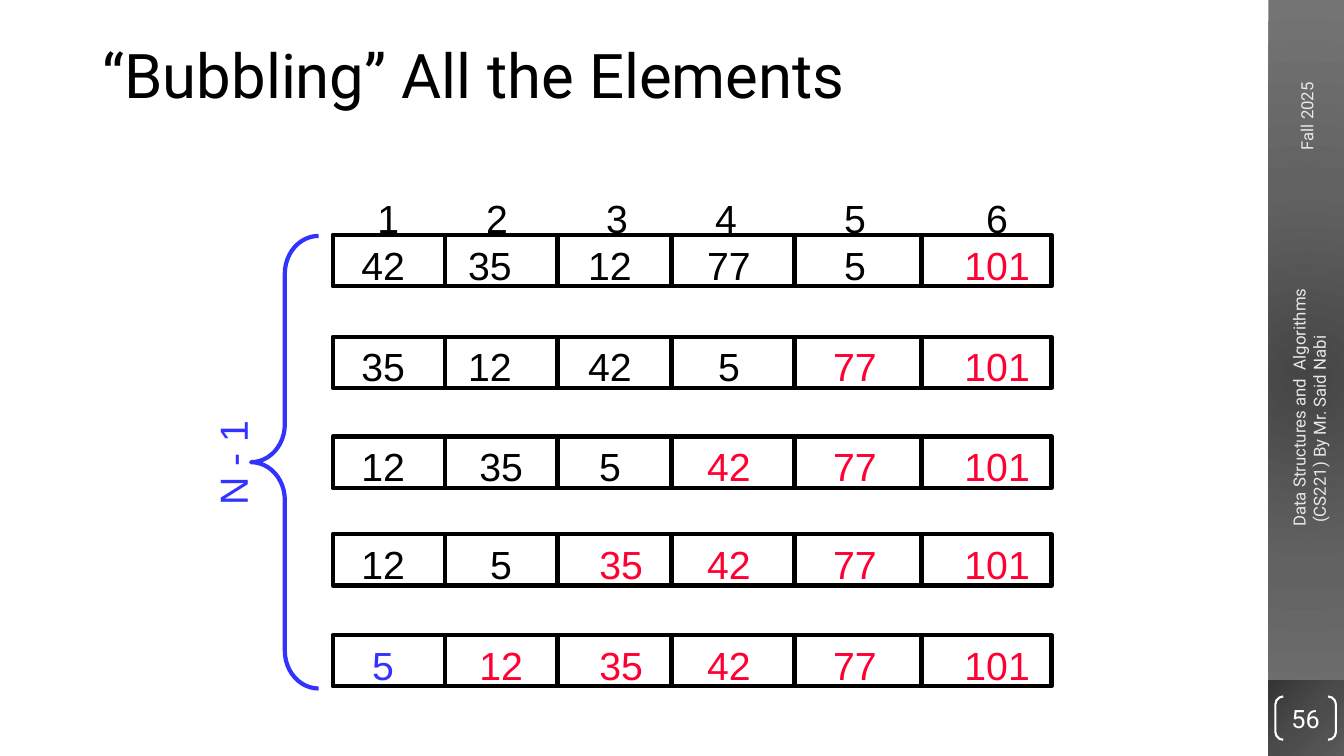
from pptx import Presentation
from pptx.dml.color import RGBColor
from pptx.enum.shapes import MSO_CONNECTOR, MSO_SHAPE
from pptx.enum.text import MSO_ANCHOR, PP_ALIGN
from pptx.oxml import parse_xml
from pptx.oxml.ns import nsdecls
from pptx.oxml.xmlchemy import OxmlElement
from pptx.util import Emu, Pt

RECTANGLE = MSO_SHAPE.RECTANGLE
BRACKETS = MSO_SHAPE.DOUBLE_BRACKET
BRACE = MSO_SHAPE.LEFT_BRACE
STRAIGHT = MSO_CONNECTOR.STRAIGHT
TOP, MIDDLE = MSO_ANCHOR.TOP, MSO_ANCHOR.MIDDLE
LEFT, CENTER = PP_ALIGN.LEFT, PP_ALIGN.CENTER

EMU_PER_PX = 9144
BLACK, WHITE, RED, BLUE, PALE = "000000", "FFFFFF", "FF0033", "3333FF", "E8E8E8"

PASSES = [
    [42, 35, 12, 77, 5, 101],
    [35, 12, 42, 5, 77, 101],
    [12, 35, 5, 42, 77, 101],
    [12, 5, 35, 42, 77, 101],
    [5, 12, 35, 42, 77, 101],
]
PASS_TOPS = [233, 334, 433, 530, 630]
ROW_LEFT, ROW_WIDTH, ROW_HEIGHT = 330, 713, 51
DIVIDERS = [441, 553, 666, 788, 914]
INDEX_CENTERS = [385, 493, 612, 720, 848, 989]
VALUE_CENTERS = [380, 486, 605, 723, 848, 989]
SHIFTED_FROM_PASS = {1: 2, 2: 3}
SHIFT = 11
NUMBER_WIDTH, NUMBER_HEIGHT = 96, 57


def px(value):
    return Emu(value * EMU_PER_PX)


def rgb(color):
    return RGBColor.from_string(color)


def write_text(frame, text, size=28, font="Arial", color=BLACK, align=LEFT,
               anchor=TOP, insets=(10, 5), spacing=None):
    frame.word_wrap = True
    frame.vertical_anchor = anchor
    frame.margin_left = frame.margin_right = px(insets[0])
    frame.margin_top = frame.margin_bottom = px(insets[1])
    frame.text = text
    for para in frame.paragraphs:
        para.alignment = align
        para.line_spacing = spacing
        for span in para.runs:
            span.font.size = Pt(size)
            span.font.name = font
            span.font.color.rgb = rgb(color)


def add_text(page, box, text, rotation=0, **style):
    label = page.shapes.add_textbox(*map(px, box))
    label.rotation = rotation
    write_text(label.text_frame, text, **style)


def add_outline(page, kind, box, color, width, adjustment=None):
    shape = page.shapes.add_shape(kind, *map(px, box))
    shape.shadow.inherit = False
    shape.fill.background()
    shape.line.color.rgb = rgb(color)
    shape.line.width = Pt(width)
    if adjustment is not None:
        shape.adjustments[0] = adjustment
    return shape


def add_radial_panel(page, box, colors, focus):
    panel = page.shapes.add_shape(RECTANGLE, *map(px, box))
    panel.shadow.inherit = False
    panel.line.fill.background()
    stops = "".join(
        f'<a:gs pos="{index * 50000}"><a:srgbClr val="{color}"/></a:gs>'
        for index, color in enumerate(colors))
    sides = " ".join(f'{side}="{share * 1000}"' for side, share in zip("ltrb", focus))
    gradient = parse_xml(
        f'<a:gradFill {nsdecls("a")} rotWithShape="1"><a:gsLst>{stops}</a:gsLst>'
        f'<a:path path="circle"><a:fillToRect {sides}/></a:path></a:gradFill>')
    panel._element.spPr.insert(2, gradient)


def add_divider(page, x, top):
    line = page.shapes.add_connector(
        STRAIGHT, px(x), px(top), px(x), px(top + ROW_HEIGHT))
    line.line.color.rgb = rgb(BLACK)
    line.line.width = Pt(3)
    line._element.spPr.append(OxmlElement("a:effectLst"))


def add_number(page, number, center, top, color=BLACK):
    box = (center - NUMBER_WIDTH // 2, top, NUMBER_WIDTH, NUMBER_HEIGHT)
    add_text(page, box, str(number), color=color, align=CENTER)


def value_color(value, column, pass_index):
    last_pass = len(PASSES) - 1
    if pass_index == last_pass and column == 0:
        return BLUE
    return RED if column >= last_pass - pass_index + 1 else BLACK


def add_pass(page, pass_index):
    top = PASS_TOPS[pass_index]
    add_outline(page, RECTANGLE, (ROW_LEFT, top, ROW_WIDTH, ROW_HEIGHT), BLACK, 3)
    for x in DIVIDERS:
        add_divider(page, x, top)
    for column, value in enumerate(PASSES[pass_index]):
        center = VALUE_CENTERS[column]
        if pass_index >= SHIFTED_FROM_PASS.get(column, len(PASSES)):
            center += SHIFT
        add_number(page, value, center, top + 1, value_color(value, column, pass_index))


def add_sidebar(page):
    add_radial_panel(page, (1258, 0, 75, 750),
                     ["454545", "626262", "747474"], (50, 50, 50, 50))
    add_radial_panel(page, (1258, 675, 75, 75),
                     ["353535", "4B4B4B", "595959"], (0, 0, 100, 100))
    small = {"size": 12, "font": "Roboto", "color": PALE, "rotation": 270}
    add_text(page, (1225, 73, 142, 30), "Fall 2025", **small)
    add_text(page, (1165, 374, 267, 50),
             "Data Structures and  Algorithms\n (CS221) By Mr. Said Nabi", **small)
    number = add_outline(page, BRACKETS, (1265, 691, 60, 43), WHITE, 1.5, 0.18)
    write_text(number.text_frame, "56", size=18, font="Roboto", color=WHITE,
               align=CENTER, anchor=MIDDLE, insets=(0, 0))


def add_title(page, text):
    title = page.shapes.title
    title.left, title.top, title.width, title.height = map(px, (92, 40, 1150, 145))
    write_text(title.text_frame, text, size=44, font="Roboto", spacing=0.9)


def main():
    deck = Presentation()
    deck.slide_width, deck.slide_height = px(1333), px(750)
    page = deck.slides.add_slide(deck.slide_layouts[5])
    add_sidebar(page)
    add_title(page, "“Bubbling” All the Elements")
    for index, center in enumerate(INDEX_CENTERS, start=1):
        add_number(page, index, center, 188)
    for pass_index in range(len(PASSES)):
        add_pass(page, pass_index)
    add_outline(page, BRACE, (249, 234, 67, 449), BLUE, 3, 0.56)
    add_text(page, (178, 430, 105, 57), "N - 1", rotation=270, color=BLUE)
    deck.save("out.pptx")


if __name__ == "__main__":
    main()
